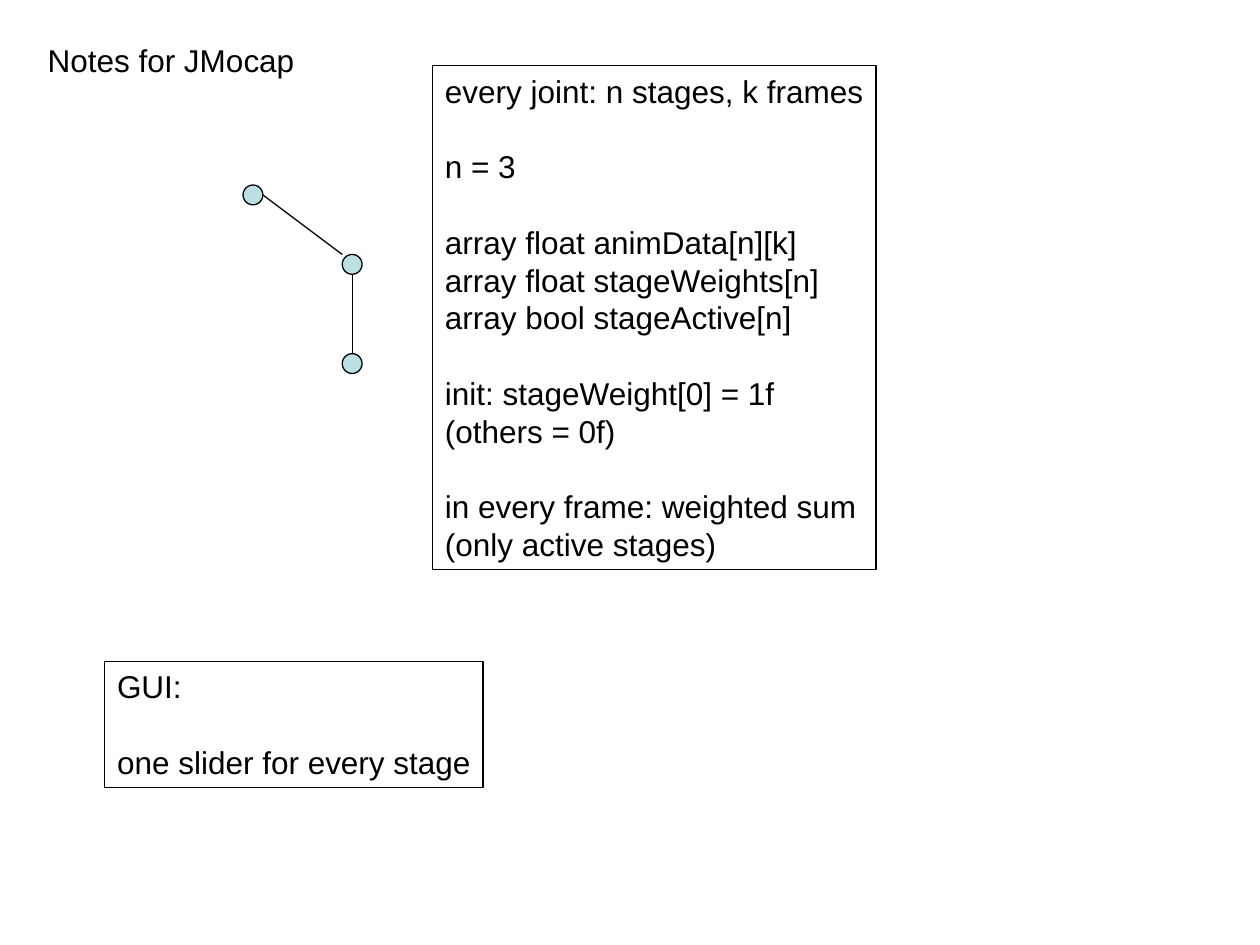
from pptx import Presentation
from pptx import util as u
from pptx.dml.color import RGBColor
from pptx.enum import shapes, text
from lxml import etree

FONT_SIZE = 18
LINE_PITCH = 21.6
NODE_SIZE = 0.4
DRAWING_NS = "http://schemas.openxmlformats.org/drawingml/2006/main"


def colour(value):
    return RGBColor.from_string(value)


def outline(line):
    line.color.rgb = colour("000000")
    line.width = u.Pt(0.75)


def add_text(box, groups):
    frame = box.text_frame
    frame.word_wrap = False
    frame.auto_size = text.MSO_AUTO_SIZE.SHAPE_TO_FIT_TEXT
    frame.vertical_anchor = text.MSO_ANCHOR.TOP
    first = True
    for group in groups:
        for index, line in enumerate(group):
            para = frame.paragraphs[0] if first else frame.add_paragraph()
            para.alignment = text.PP_ALIGN.LEFT
            para.line_spacing = u.Pt(LINE_PITCH)
            if index == 0 and not first:
                para.space_before = u.Pt(LINE_PITCH)
            span = para.add_run()
            span.text = line
            span.font.name = "Arial"
            span.font.size = u.Pt(FONT_SIZE)
            span.font.color.rgb = colour("000000")
            first = False


def add_title(page, left, top, width, height, title):
    box = page.shapes.add_textbox(u.Cm(left), u.Cm(top), u.Cm(width), u.Cm(height))
    add_text(box, [[title]])


def add_note(page, left, top, width, height, groups):
    box = page.shapes.add_shape(
        shapes.MSO_SHAPE.RECTANGLE, u.Cm(left), u.Cm(top), u.Cm(width), u.Cm(height))
    box.shadow.inherit = False
    box.fill.background()
    outline(box.line)
    add_text(box, groups)


def add_joint(page, left, top):
    joint = page.shapes.add_shape(
        shapes.MSO_SHAPE.OVAL, u.Cm(left), u.Cm(top), u.Cm(NODE_SIZE), u.Cm(NODE_SIZE))
    joint.shadow.inherit = False
    joint.fill.solid()
    joint.fill.fore_color.rgb = colour("BBE0E3")
    outline(joint.line)


def add_bone(page, start, end):
    bone = page.shapes.add_connector(
        shapes.MSO_CONNECTOR.STRAIGHT, *(u.Cm(value) for value in start + end))
    outline(bone.line)
    etree.SubElement(bone._element.spPr, f"{{{DRAWING_NS}}}effectLst")


def add_skeleton(page, left, top, width, height):
    right = left + width - NODE_SIZE
    middle = top + 1.4
    bottom = top + height - NODE_SIZE
    radius = NODE_SIZE / 2
    for x, y in [(left, top), (right, middle), (right, bottom)]:
        add_joint(page, x, y)
    add_bone(page, (left + NODE_SIZE, top + radius), (right, middle))
    add_bone(page, (right + radius, middle + NODE_SIZE), (right + radius, bottom))


def main():
    deck = Presentation()
    deck.slide_width, deck.slide_height = u.Cm(25.4), u.Cm(19.05)
    page = deck.slides.add_slide(deck.slide_layouts[6])
    add_skeleton(page, 4.9, 3.73, 2.4, 3.8)
    add_title(page, 0.71, 0.71, 5.49, 1.02, "Notes for JMocap")
    add_note(page, 8.72, 1.32, 8.94, 10.16, [
        ["every joint: n stages, k frames"],
        ["n = 3"],
        ["array float animData[n][k]",
         "array float stageWeights[n]",
         "array bool stageActive[n]"],
        ["init: stageWeight[0] = 1f", "(others = 0f)"],
        ["in every frame: weighted sum", "(only active stages)"],
    ])
    add_note(page, 2.11, 13.33, 7.63, 2.54, [
        ["GUI:"],
        ["one slider for every stage"],
    ])
    deck.save("out.pptx")


if __name__ == "__main__":
    main()
